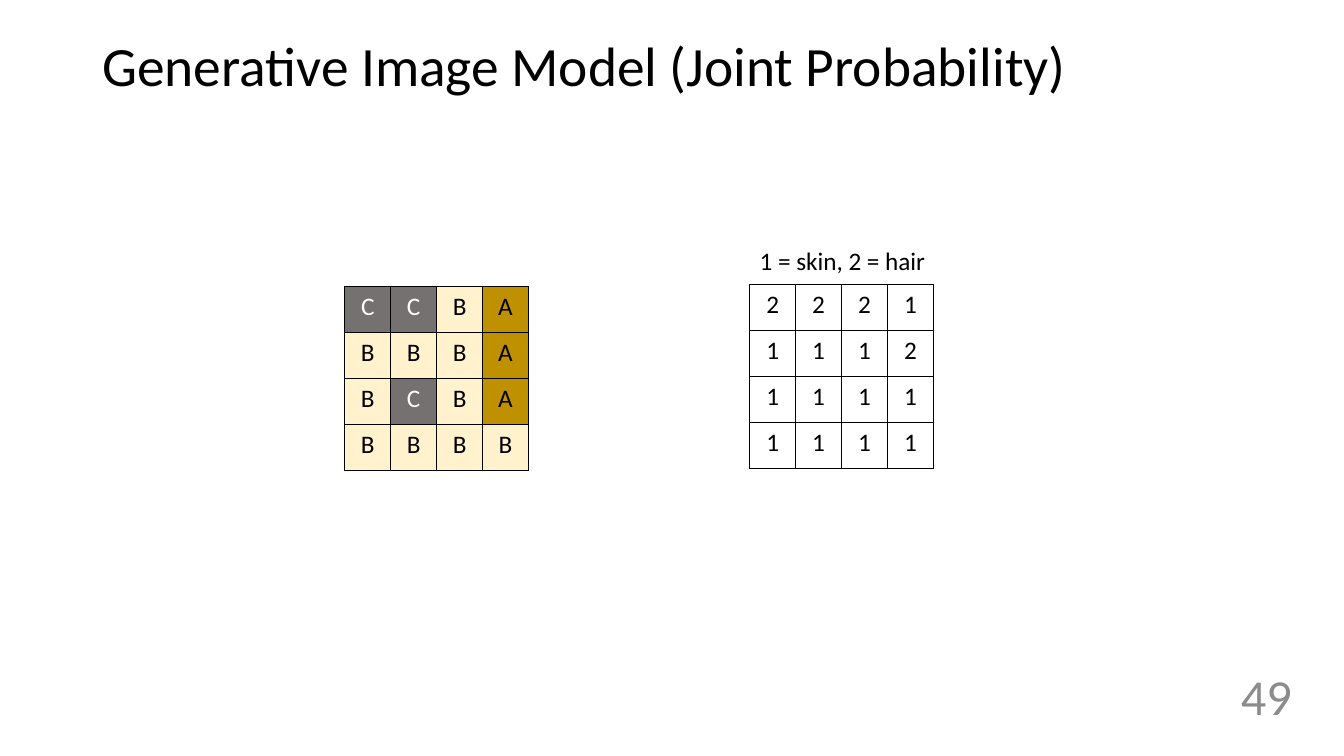
from dataclasses import dataclass

from lxml import etree
from pptx import Presentation
from pptx import util as u
from pptx.dml.color import RGBColor
from pptx.enum import text
from pptx.oxml.ns import qn


@dataclass(frozen=True)
class Theme:
    font: str = "Calibri"
    black: str = "000000"
    white: str = "FFFFFF"
    muted: str = "8C8C8C"
    hair: str = "767171"
    skin: str = "FFF2CC"
    gold: str = "BF9000"
    title_size: float = 39.6
    number_size: float = 36
    body_size: float = 18
    border: float = 1


def write(tf, content, theme, size, color=None, align="LEFT", spacing=1.0):
    p = tf.paragraphs[0]
    p.alignment = text.PP_ALIGN[align]
    p.line_spacing = spacing
    r = p.add_run()
    r.text = content
    r.font.name = theme.font
    r.font.size = u.Pt(size)
    r.font.color.rgb = RGBColor.from_string(color or theme.black)


class SlideBuilder:
    def __init__(self, slide, theme):
        self.s, self.theme = slide, theme

    def label(self, box, content, anchor="TOP", wrap=True, **style):
        sp = self.s.shapes.add_textbox(*map(u.Pt, box))
        tf = sp.text_frame
        tf.word_wrap = wrap
        tf.auto_size = text.MSO_AUTO_SIZE.NONE
        tf.vertical_anchor = text.MSO_ANCHOR[anchor]
        write(tf, content, self.theme, **style)

    def border(self, cell):
        tcPr = cell._tc.get_or_add_tcPr()
        for index, side in enumerate(("lnL", "lnR", "lnT", "lnB")):
            ln = etree.Element(qn(f"a:{side}"), w=str(u.Pt(self.theme.border)))
            fill = etree.SubElement(ln, qn("a:solidFill"))
            etree.SubElement(fill, qn("a:srgbClr"), val=self.theme.black)
            tcPr.insert(index, ln)

    def grid(self, left, top, pitch, rows, styles):
        """Draw a square-celled table; styles maps a symbol to (fill, text color)."""
        n_rows, n_cols = len(rows), len(rows[0])
        frame = self.s.shapes.add_table(n_rows, n_cols, u.Pt(left), u.Pt(top),
                                        u.Pt(pitch * n_cols), u.Pt(pitch * n_rows))
        tbl = frame.table
        tbl.first_row = tbl.horz_banding = False
        for line in [*tbl.rows]:
            line.height = u.Pt(pitch)
        for line in [*tbl.columns]:
            line.width = u.Pt(pitch)
        for i, row in enumerate(rows):
            for j, symbol in enumerate(row):
                cell = tbl.cell(i, j)
                fill, color = styles.get(symbol, (None, self.theme.black))
                if fill:
                    cell.fill.solid()
                    cell.fill.fore_color.rgb = RGBColor.from_string(fill)
                else:
                    cell.fill.background()
                self.border(cell)
                write(cell.text_frame, symbol, self.theme,
                      size=self.theme.body_size, color=color, align="CENTER")


def main():
    prs = Presentation()
    prs.slide_width, prs.slide_height = u.Pt(960), u.Pt(540)
    t = Theme()
    b = SlideBuilder(prs.slides.add_slide(prs.slide_layouts[6]), t)
    pitch = 32.8

    # Title
    b.label((66, 28.8, 828, 39.6), "Generative Image Model (Joint Probability)",
            anchor="MIDDLE", size=t.title_size, spacing=0.9)

    # Hidden labels, with their key above
    b.grid(535.5, 203.5, pitch, ("2221", "1112", "1111", "1111"), {})
    b.label((535.5, 172, 134.5, 29), "1 = skin, 2 = hair",
            wrap=False, size=t.body_size)

    # Observed pixel colors
    pixel_styles = {"A": (t.gold, t.black), "B": (t.skin, t.black),
                    "C": (t.hair, t.white)}
    b.grid(246.3, 204.7, pitch, ("CCBA", "BBBA", "BCBA", "BBBB"), pixel_styles)

    # Slide number
    b.label((840, 466, 90, 62), "49", anchor="MIDDLE",
            size=t.number_size, color=t.muted, align="RIGHT")

    prs.save("out.pptx")


if __name__ == "__main__":
    main()
